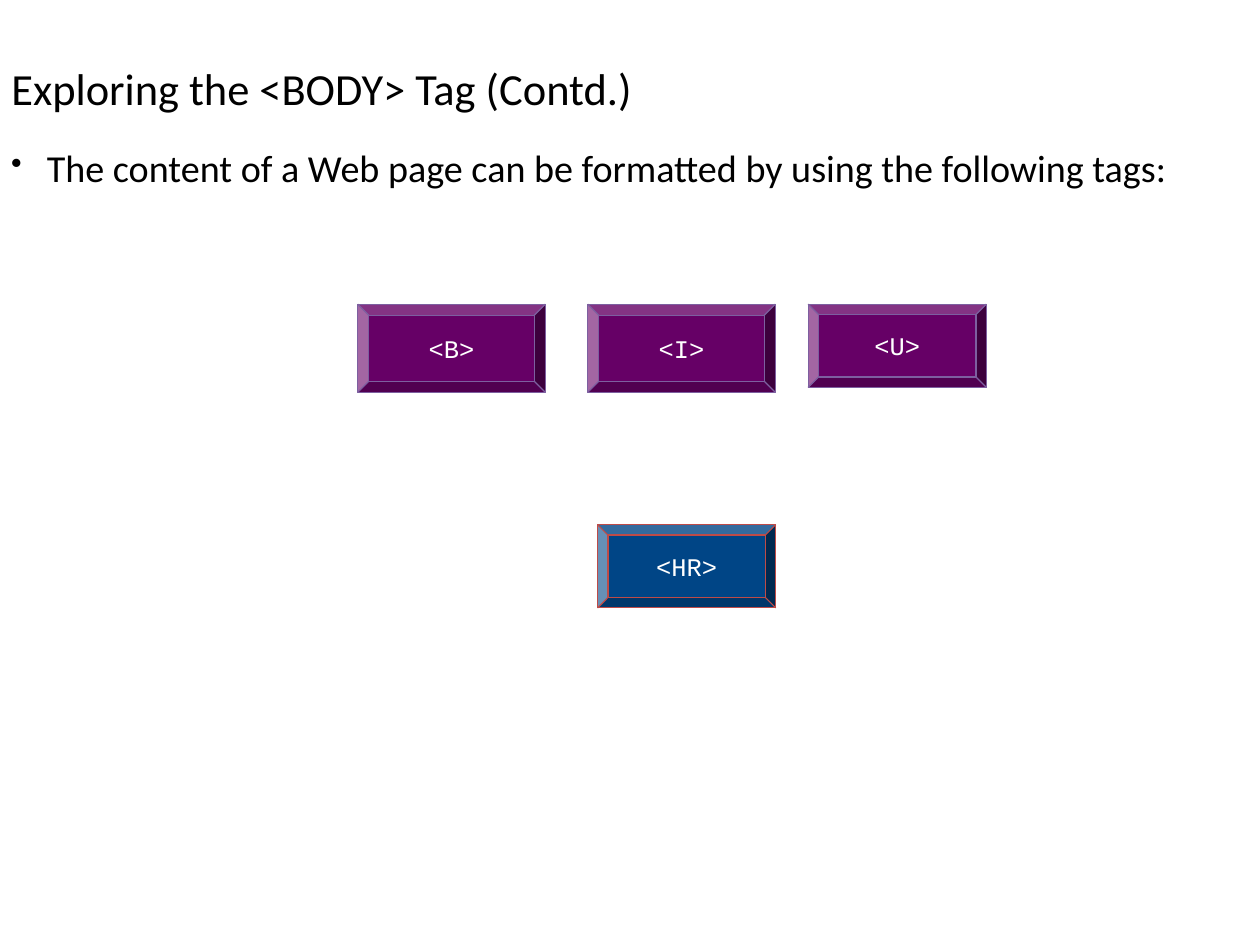
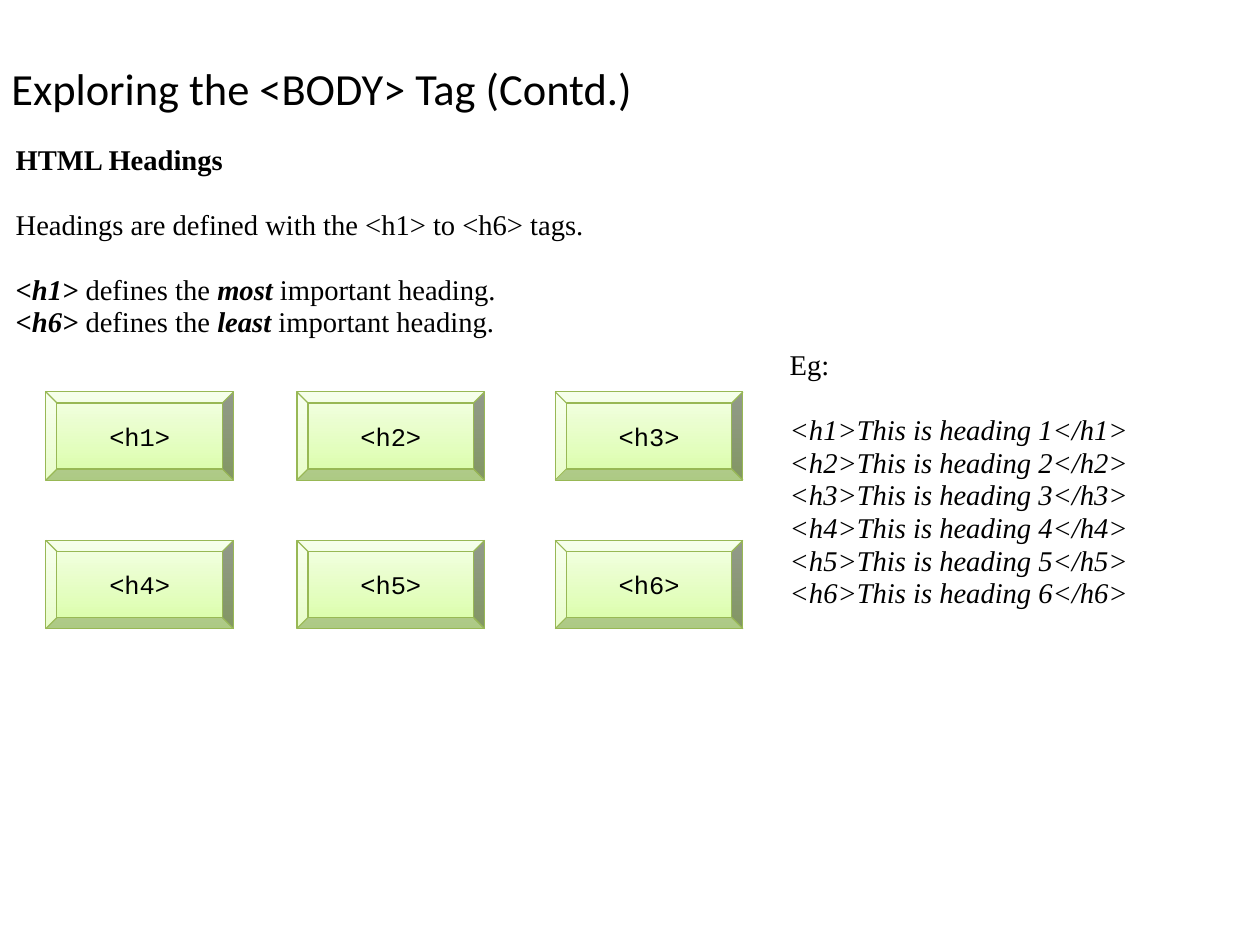
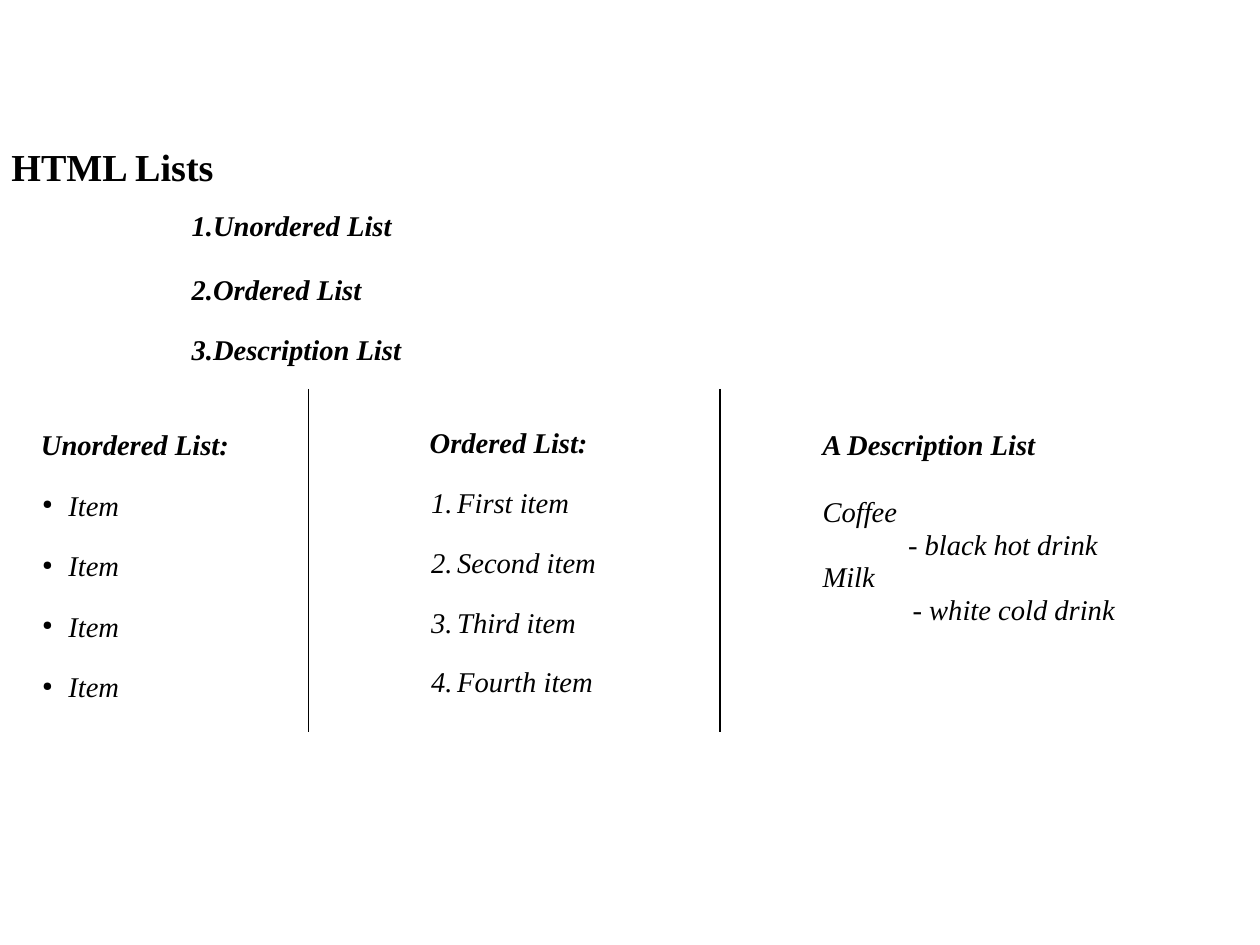
"""Build three slides on HTML body tags, headings and lists."""
from dataclasses import dataclass

from lxml import etree
from pptx import Presentation
from pptx.dml.color import RGBColor
from pptx.enum.shapes import MSO_CONNECTOR, MSO_SHAPE
from pptx.enum.text import MSO_ANCHOR, PP_ALIGN
from pptx.oxml.ns import qn
from pptx.util import Cm, Pt

BEVEL = MSO_SHAPE.BEVEL
STRAIGHT = MSO_CONNECTOR.STRAIGHT
TOP, MIDDLE = MSO_ANCHOR.TOP, MSO_ANCHOR.MIDDLE
LEFT, CENTER = PP_ALIGN.LEFT, PP_ALIGN.CENTER

SANS, SERIF, MONO = "Calibri", "Times New Roman", "Courier New"
COLORS = {
    "black": "000000",
    "white": "FFFFFF",
    "purple": "660066",
    "purple line": "7D5FA0",
    "blue": "004586",
    "red line": "BE4B48",
    "pale green": "F4FFE6",
    "green": "D9FDA6",
    "green line": "98B855",
}
BLANK_LINE = 20.5
BODY_TITLE = "Exploring the <BODY> Tag (Contd.)"


@dataclass
class Para:
    """One paragraph; a list as text holds spans, the odd ones being plain."""
    text: str | list
    bold: bool = False
    italic: bool = False
    before: float = 0
    after: float = 0
    indent: float = 0
    hanging: float = 0
    bullet: str = ""
    bullet_size: int = 100


class Deck:
    """Holds the shared style and the current slide."""

    def __init__(self):
        self.deck = Presentation()
        self.deck.slide_width, self.deck.slide_height = Cm(28), Cm(21)
        self.page = None

    def color(self, name):
        """Look up a named colour."""
        return RGBColor.from_string(COLORS[name])

    def style(self, para, font, size, color="black", bold=False, italic=False):
        """Set the font of a whole paragraph."""
        para.font.name, para.font.size = font, Pt(size)
        para.font.bold, para.font.italic = bold, italic
        para.font.color.rgb = self.color(color)

    def add_page(self, title, top=1.22, font=SANS, size=28, bold=False):
        """Start a slide and place its title."""
        self.page = self.deck.slides.add_slide(self.deck.slide_layouts[5])
        box = self.page.shapes.title
        box.left, box.top, box.width, box.height = Cm(0), Cm(top), Cm(20.5), Cm(1.45)
        box.text_frame.text = title
        box.text_frame.vertical_anchor = TOP
        para = box.text_frame.paragraphs[0]
        para.alignment = LEFT
        self.style(para, font, size, bold=bold)

    def add_bullet(self, para, item):
        """Give a paragraph its indent and its bullet or number."""
        props = para._p.get_or_add_pPr()
        props.set("marL", str(Cm(item.indent)))
        props.set("indent", str(Cm(-item.hanging)))
        if not item.bullet:
            return
        fill = etree.SubElement(props, qn("a:buClr"))
        etree.SubElement(fill, qn("a:srgbClr"), val=COLORS["black"])
        etree.SubElement(props, qn("a:buSzPct"), val=str(item.bullet_size * 1000))
        if item.bullet == "1.":
            etree.SubElement(props, qn("a:buAutoNum"), type="arabicPeriod")
        else:
            etree.SubElement(props, qn("a:buChar"), char=item.bullet)

    def add_text(self, left, top, width, height, items, font=SERIF, size=18,
                 spacing=0.95, inset=0.15):
        """Add a text box with one paragraph for each item."""
        box = self.page.shapes.add_textbox(Cm(left), Cm(top), Cm(width), Cm(height))
        frame = box.text_frame
        frame.word_wrap = True
        frame.margin_top = Cm(inset)
        for index, item in enumerate(items):
            para = frame.add_paragraph() if index else frame.paragraphs[0]
            self.add_bullet(para, item)
            para.line_spacing = spacing
            para.space_before, para.space_after = Pt(item.before), Pt(item.after)
            self.style(para, font, size, bold=item.bold, italic=item.italic)
            if isinstance(item.text, str):
                para.add_run().text = item.text
                continue
            for number, text in enumerate(item.text):
                span = para.add_run()
                span.text = text
                span.font.bold = span.font.italic = number % 2 == 0

    def add_button(self, text, left, top, fills, line, color="white",
                   width=4.17, height=1.96):
        """Add a bevelled button with one fill colour or a gradient of two."""
        button = self.page.shapes.add_shape(
            BEVEL, Cm(left), Cm(top), Cm(width), Cm(height))
        button.shadow.inherit = False
        if len(fills) == 1:
            button.fill.solid()
            button.fill.fore_color.rgb = self.color(fills[0])
        else:
            button.fill.gradient()
            button.fill.gradient_angle = 270
            for stop, name in zip(button.fill.gradient_stops, fills):
                stop.color.rgb = self.color(name)
        button.line.color.rgb = self.color(line)
        button.line.width = Pt(0.75)
        button.text_frame.text = text
        button.text_frame.vertical_anchor = MIDDLE
        para = button.text_frame.paragraphs[0]
        para.alignment = CENTER
        self.style(para, MONO, 16, color)

    def add_divider(self, left, top, bottom):
        """Add a thin vertical line."""
        line = self.page.shapes.add_connector(
            STRAIGHT, Cm(left), Cm(top), Cm(left), Cm(bottom))
        line.line.color.rgb = self.color("black")
        line.line.width = Pt(0.75)
        etree.SubElement(line._element.spPr, qn("a:effectLst"))


def build_formatting(deck):
    """Build the slide on text formatting tags."""
    deck.add_page(BODY_TITLE)
    intro = "The content of a Web page can be formatted by using the following tags:"
    deck.add_text(0, 3.07, 27, 1.27,
                  [Para(intro, indent=0.79, hanging=0.79, bullet="•", bullet_size=83)],
                  font=SANS, size=24, spacing=1.0, inset=0.13)
    small = {"width": 3.96, "height": 1.85}
    for text, left, size in (("<B>", 7.95, {}), ("<I>", 13.06, {}), ("<U>", 17.96, small)):
        deck.add_button(text, left, 6.76, ["purple"], "purple line", **size)
    deck.add_button("<HR>", 13.28, 11.66, ["blue"], "red line", **small)


def build_headings(deck):
    """Build the slide on heading tags."""
    deck.add_page(BODY_TITLE)
    deck.add_text(0.1, 3.05, 25.3, 5.3, [
        Para("HTML Headings", bold=True),
        Para("Headings are defined with the <h1> to <h6> tags.", before=BLANK_LINE),
        Para(["<h1>", " defines the ", "most", " important heading."], before=BLANK_LINE),
        Para(["<h6>", " defines the ", "least", " important heading."]),
    ])
    columns, rows = (1.02, 6.6, 12.34), (8.71, 12.01)
    for index in range(6):
        row, column = divmod(index, 3)
        deck.add_button(f"<h{index + 1}>", columns[column], rows[row],
                        ["pale green", "green"], "green line", "black")
    examples = [
        Para(f"<h{level}>This is heading {level}</h{level}>", italic=True,
             before=BLANK_LINE if level == 1 else 0)
        for level in range(1, 7)
    ]
    deck.add_text(17.3, 7.62, 8.5, 7, [Para("Eg:")] + examples)


def build_lists(deck):
    """Build the slide on the three kinds of list."""
    deck.add_page("HTML Lists", top=3.07, font=SERIF, size=24, bold=True)
    kinds = ("1.Unordered List", "2.Ordered List", "3.Description List")
    deck.add_text(0, 4.52, 20, 3.9, [
        Para(kind, bold=True, italic=True, indent=4.01,
             before=8.8 if index else 0, after=8.8 if index else 11)
        for index, kind in enumerate(kinds)
    ])
    ordered = [f"{rank} item" for rank in ("First", "Second", "Third", "Fourth")]
    lists = (
        ("Unordered List:", ["Item"] * 4, 0.66, 9.4, 8.8, "●", 45),
        ("Ordered List:", ordered, 9.3, 9.35, 8.6, "1.", 100),
    )
    for heading, entries, left, top, gap, bullet, bullet_size in lists:
        items = [Para(heading, bold=True, italic=True, after=gap)]
        items += [
            Para(entry, italic=True, before=gap, after=gap, indent=0.61,
                 hanging=0.58, bullet=bullet, bullet_size=bullet_size)
            for entry in entries
        ]
        deck.add_text(left, top, 5.56, 7.4, items)
    deck.add_text(18.03, 9.4, 7.77, 5.33, [
        Para("A Description List", bold=True, italic=True),
        Para("Coffee", italic=True, before=BLANK_LINE + 1),
        Para("- black hot drink", italic=True, indent=1.9),
        Para("Milk", italic=True),
        Para("- white cold drink", italic=True, indent=2),
    ])
    for left in (6.86, 16):
        deck.add_divider(left, 8.64, 16.26)


def main():
    """Build and save the deck."""
    deck = Deck()
    for build in (build_formatting, build_headings, build_lists):
        build(deck)
    deck.deck.save("out.pptx")


if __name__ == "__main__":
    main()
